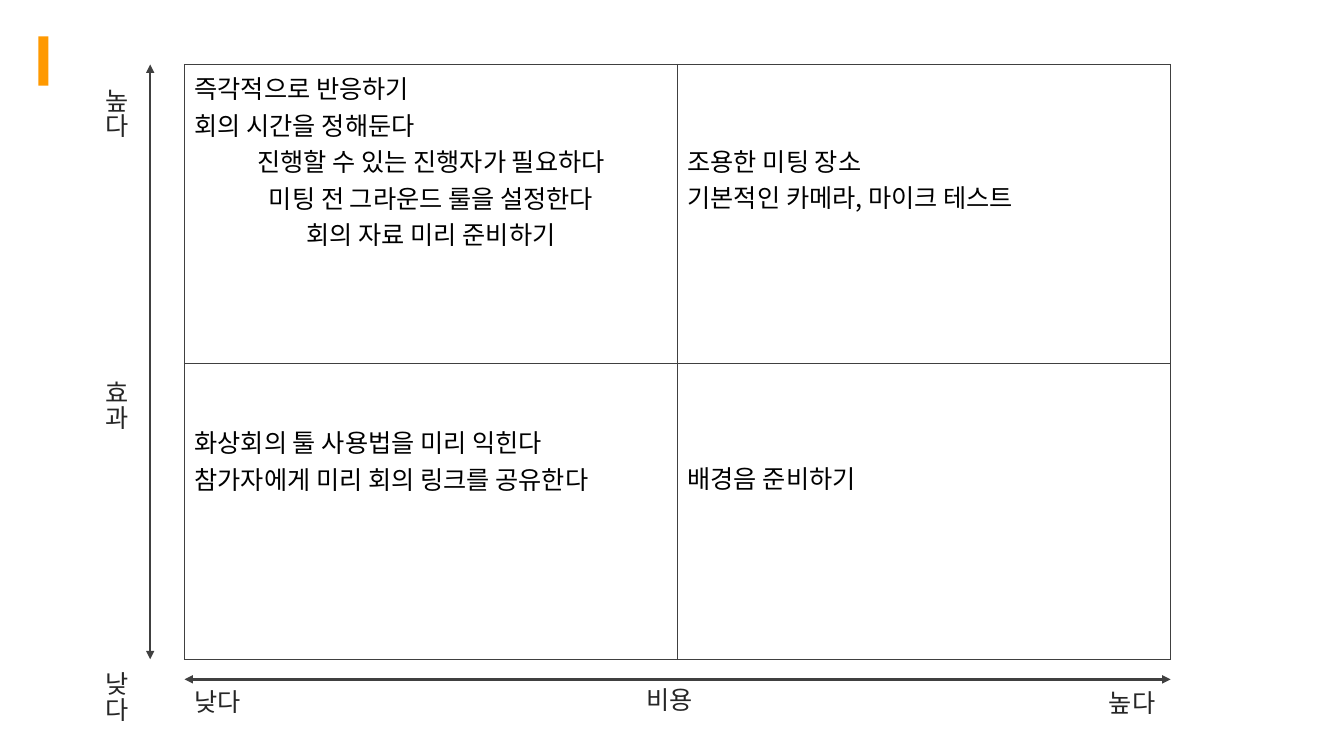
"""Build a cost and effect matrix slide about online meetings."""
from dataclasses import dataclass

from lxml.etree import SubElement
from pptx import Presentation
from pptx.dml.color import RGBColor
from pptx.enum.shapes import MSO_CONNECTOR, MSO_SHAPE
from pptx.enum.text import MSO_ANCHOR, PP_ALIGN
from pptx.oxml.ns import qn
from pptx.util import Inches, Pt


@dataclass(frozen=True)
class Theme:
    font: str = "Noto Sans CJK KR"
    size: float = 18
    text: str = "000000"
    label: str = "262626"
    line: str = "404040"
    accent: str = "FF9900"
    border: float = 1
    axis: float = 1.75
    label_spacing: float = 0.83


THEME = Theme()
LEFT, TOP, COL_W = 1.83, 0.64, 4.89
ROW_HEIGHTS = (2.97, 2.93)
RIGHT, BOTTOM = LEFT + 2 * COL_W, TOP + sum(ROW_HEIGHTS)

# Each cell: top margin, lines, number of leading lines aligned left
CELLS = (
    (
        (0.05, ("즉각적으로 반응하기", "회의 시간을 정해둔다", "진행할 수 있는 진행자가 필요하다",
                "미팅 전 그라운드 룰을 설정한다", "회의 자료 미리 준비하기"), 2),
        (0.77, ("조용한 미팅 장소", "기본적인 카메라, 마이크 테스트"), 2),
    ),
    (
        (0.59, ("화상회의 툴 사용법을 미리 익힌다", "참가자에게 미리 회의 링크를 공유한다"), 2),
        (0.95, ("배경음 준비하기",), 1),
    ),
)
COST_LABELS = (
    ("낮다", 1.83, 6.81, 0.79),
    ("높다", 10.9, 6.82, 0.72),
    ("비용", 6.31, 6.79, 1.18),
)


def rgb(color):
    return RGBColor.from_string(color)


def write_lines(tf, lines, color):
    """Write one styled paragraph per line and return the paragraphs."""
    for i, line in enumerate(lines):
        p = tf.paragraphs[0] if i == 0 else tf.add_paragraph()
        p.add_run().text = line
        p.font.size = Pt(THEME.size)
        p.font.color.rgb = rgb(color)
        p.font.name = THEME.font
        props = p._p.pPr.find(qn("a:defRPr"))
        SubElement(props, qn("a:ea"), typeface=THEME.font)
    return tf.paragraphs


def add_label(s, lines, x, y, w, h, gap=0):
    tf = s.shapes.add_textbox(Inches(x), Inches(y), Inches(w), Inches(h)).text_frame
    tf.word_wrap = True
    for i, p in enumerate(write_lines(tf, lines, THEME.label)):
        p.line_spacing = THEME.label_spacing
        if i and gap:
            p.space_before = Pt(gap)


def add_axis(s, x1, y1, x2, y2):
    axis = s.shapes.add_connector(
        MSO_CONNECTOR.STRAIGHT, Inches(x1), Inches(y1), Inches(x2), Inches(y2))
    axis.line.color.rgb = rgb(THEME.line)
    axis.line.width = Pt(THEME.axis)
    ln = axis.line._get_or_add_ln()
    for end in ("a:headEnd", "a:tailEnd"):
        SubElement(ln, qn(end), type="triangle")
    SubElement(axis._element.spPr, qn("a:effectLst"))


def add_borders(cell):
    tc_pr = cell._tc.get_or_add_tcPr()
    for side in ("a:lnL", "a:lnR", "a:lnT", "a:lnB"):
        ln = SubElement(tc_pr, qn(side), w=str(Pt(THEME.border)))
        fill = SubElement(ln, qn("a:solidFill"))
        SubElement(fill, qn("a:srgbClr"), val=THEME.line)


def add_matrix(s):
    table = s.shapes.add_table(
        2, 2, Inches(LEFT), Inches(TOP), Inches(2 * COL_W), Inches(sum(ROW_HEIGHTS))).table
    table.first_row = table.horz_banding = False
    for column in table.columns:
        column.width = Inches(COL_W)
    for r, row in enumerate(CELLS):
        table.rows[r].height = Inches(ROW_HEIGHTS[r])
        for c, (margin, lines, left_count) in enumerate(row):
            cell = table.cell(r, c)
            add_borders(cell)
            cell.fill.background()
            cell.vertical_anchor = MSO_ANCHOR.TOP
            cell.margin_top = Inches(margin)
            paragraphs = write_lines(cell.text_frame, lines, THEME.text)
            for p in paragraphs[left_count:]:
                p.alignment = PP_ALIGN.CENTER


def add_accent(s):
    bar = s.shapes.add_shape(
        MSO_SHAPE.RECTANGLE, Inches(0.38), Inches(0.36), Inches(0.1), Inches(0.49))
    bar.shadow.inherit = False
    bar.fill.solid()
    bar.fill.fore_color.rgb = rgb(THEME.accent)
    bar.line.fill.background()


def main():
    prs = Presentation()
    prs.slide_width, prs.slide_height = Inches(13.33), Inches(7.5)
    s = prs.slides.add_slide(prs.slide_layouts[6])
    add_accent(s)
    add_matrix(s)
    add_axis(s, 1.49, TOP, 1.49, BOTTOM)
    add_axis(s, RIGHT, 6.74, LEFT, 6.74)
    add_label(s, ("높다", "효과", "낮다"), 0.95, 0.85, 0.4, 6.16, gap=172.5)
    for text, x, y, w in COST_LABELS:
        add_label(s, (text,), x, y, w, 0.34)
    prs.save("out.pptx")


if __name__ == "__main__":
    main()
